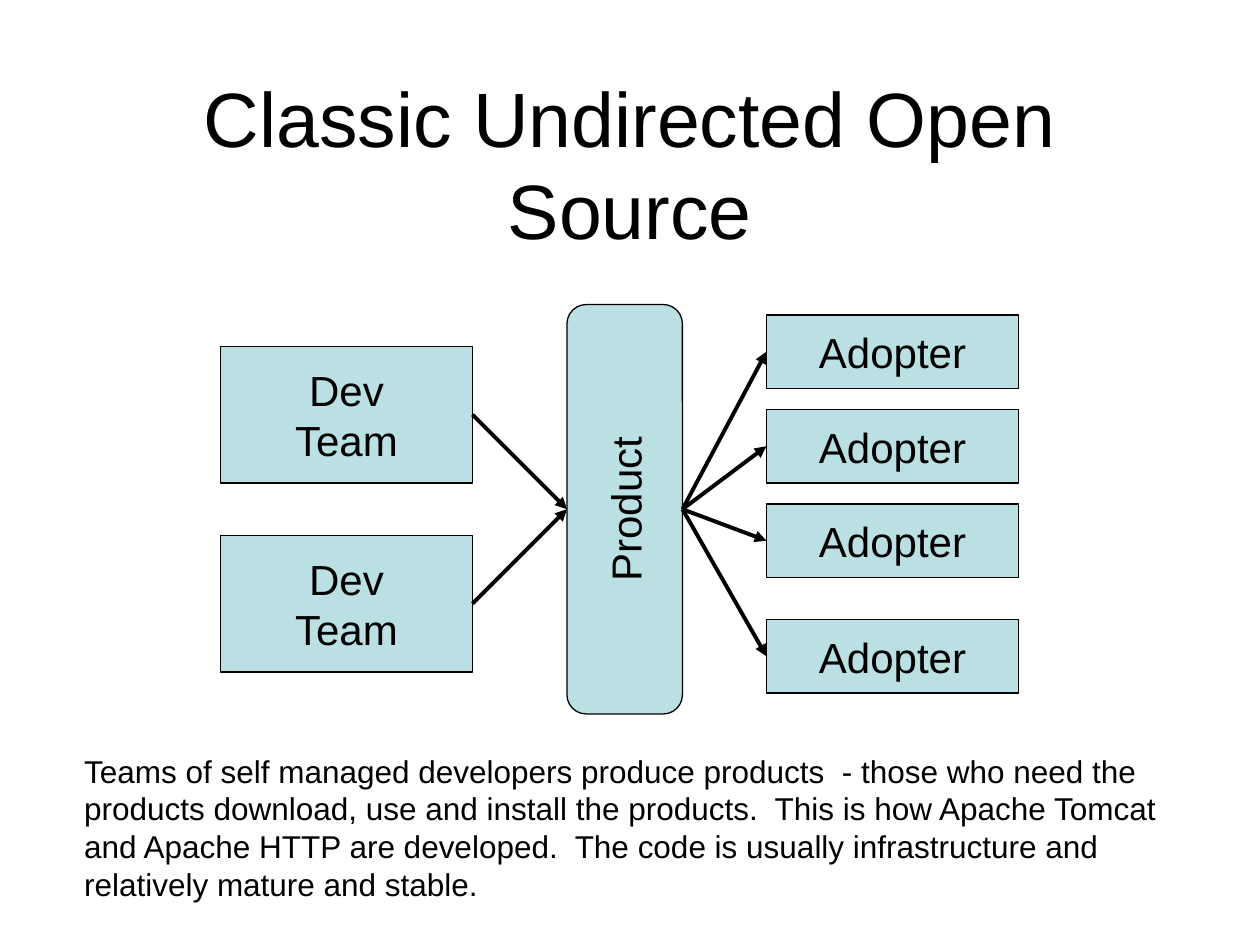
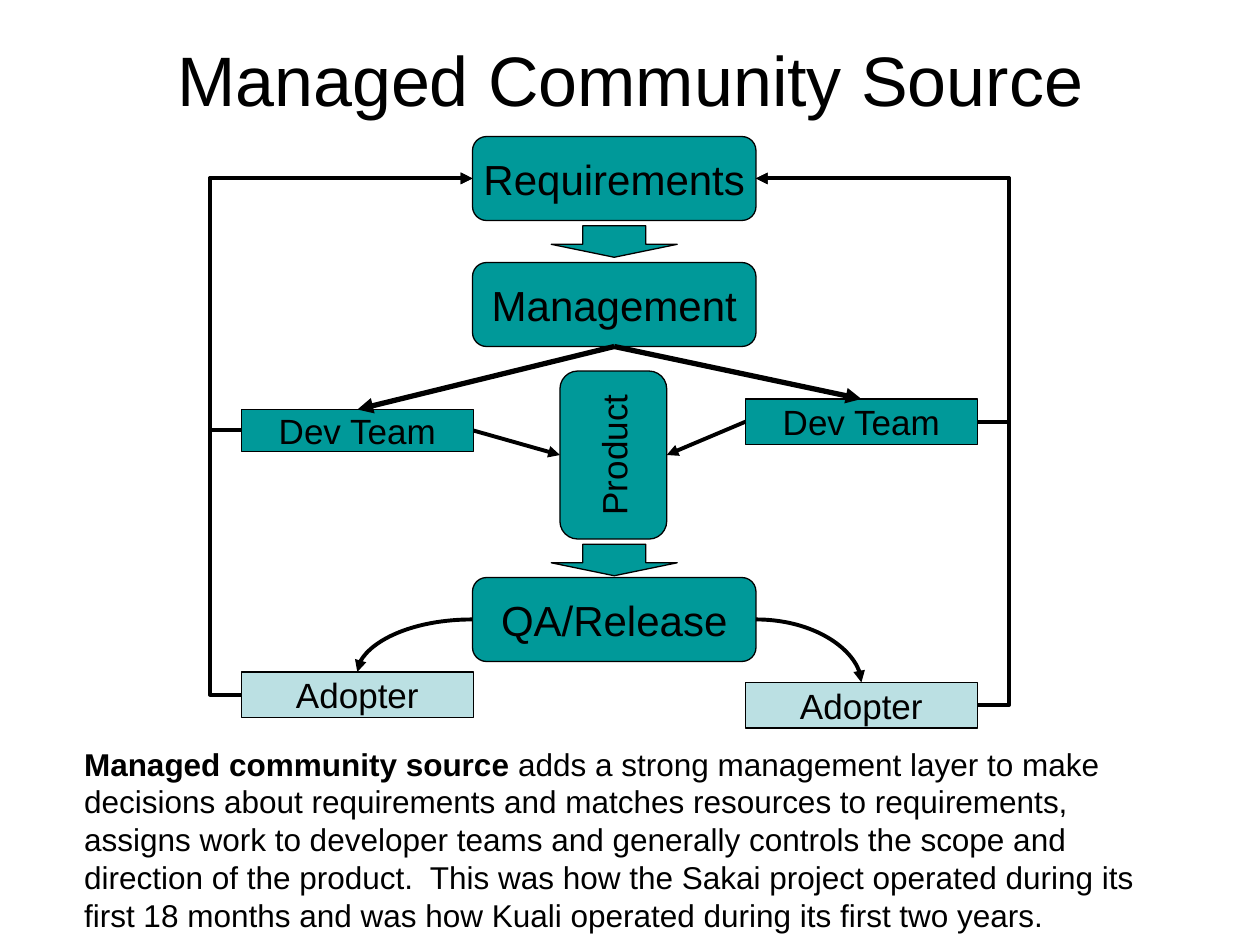
from lxml.etree import SubElement
from pptx import Presentation
from pptx.dml.color import RGBColor
from pptx.enum.shapes import MSO_CONNECTOR, MSO_SHAPE
from pptx.enum.text import MSO_ANCHOR, MSO_AUTO_SIZE, PP_ALIGN
from pptx.oxml.ns import qn
from pptx.util import Pt

COLOURS = {"ink": "000000", "pale": "BBE0E3", "teal": "009999"}
FONT = "Arial"
TOP, LEFT, BOTTOM, RIGHT = range(4)
LOOP_OFFSET = 18


def colour(name):
    return RGBColor.from_string(COLOURS[name])


def side_point(shape, side):
    center_x = shape.left + shape.width // 2
    center_y = shape.top + shape.height // 2
    width, height = shape.width, shape.height
    if shape.rotation:
        width, height = height, width
    step_x, step_y = [(0, -1), (-1, 0), (0, 1), (1, 0)][side]
    return center_x + step_x * width // 2, center_y + step_y * height // 2


def connection_site(shape, side):
    return (side - 1) % 4 if shape.rotation else side


class DiagramBuilder:
    def __init__(self):
        self.presentation = Presentation()
        self.presentation.slide_width = Pt(720)
        self.presentation.slide_height = Pt(540)
        self.slide = None

    def new_slide(self, title, top, size):
        self.slide = self.presentation.slides.add_slide(self.presentation.slide_layouts[6])
        text_box = self.slide.shapes.add_textbox(Pt(54), Pt(top), Pt(612), Pt(90))
        frame = text_box.text_frame
        frame.text = title
        frame.word_wrap = True
        frame.vertical_anchor = MSO_ANCHOR.MIDDLE
        self.style_text(frame, size, PP_ALIGN.CENTER)

    def style_text(self, frame, size, alignment):
        for paragraph in frame.paragraphs:
            paragraph.alignment = alignment
            paragraph.font.name = FONT
            paragraph.font.size = Pt(size)
            paragraph.font.color.rgb = colour("ink")

    def description(self, top, height, text, lead=""):
        text_box = self.slide.shapes.add_textbox(Pt(41), Pt(top), Pt(637), Pt(height))
        frame = text_box.text_frame
        frame.word_wrap = True
        frame.auto_size = MSO_AUTO_SIZE.SHAPE_TO_FIT_TEXT
        paragraph = frame.paragraphs[0]
        if lead:
            lead_run = paragraph.add_run()
            lead_run.text = lead
            lead_run.font.bold = True
        paragraph.add_run().text = text
        self.style_text(frame, 18, PP_ALIGN.LEFT)

    def preset(self, kind, left, top, width, height, fill):
        shape = self.slide.shapes.add_shape(kind, Pt(left), Pt(top), Pt(width), Pt(height))
        shape.shadow.inherit = False
        shape.fill.solid()
        shape.fill.fore_color.rgb = colour(fill)
        shape.line.color.rgb = colour("ink")
        shape.line.width = Pt(0.75)
        return shape

    def box(self, text, left, top, width, height, fill, size=24, kind=MSO_SHAPE.RECTANGLE):
        shape = self.preset(kind, left, top, width, height, fill)
        frame = shape.text_frame
        frame.text = text
        frame.word_wrap = False
        frame.vertical_anchor = MSO_ANCHOR.MIDDLE
        self.style_text(frame, size, PP_ALIGN.CENTER)
        return shape

    def rounded_box(self, text, left, top, width, height, fill, size=24):
        return self.box(text, left, top, width, height, fill, size, MSO_SHAPE.ROUNDED_RECTANGLE)

    def upright_box(self, text, center_x, center_y, length, thickness, fill, size=24):
        shape = self.rounded_box(text, center_x - length / 2, center_y - thickness / 2,
                                 length, thickness, fill, size)
        shape.rotation = 270
        return shape

    def down_arrow(self, left, top):
        arrow = self.preset(MSO_SHAPE.DOWN_ARROW, left, top, 72, 18, "teal")
        arrow.adjustments[1] = 0.41

    def connector(self, kind, start, start_side, end, end_side, width=2.25):
        connector = self.slide.shapes.add_connector(
            kind, *side_point(start, start_side), *side_point(end, end_side))
        connector.line.color.rgb = colour("ink")
        connector.line.width = Pt(width)
        line = connector.line._get_or_add_ln()
        SubElement(line, qn("a:tailEnd"), type="triangle")
        SubElement(connector._element.spPr, qn("a:effectLst"))
        return connector

    def arrow(self, start, start_side, end, end_side, width=2.25):
        connector = self.connector(MSO_CONNECTOR.STRAIGHT, start, start_side,
                                   end, end_side, width)
        connector.begin_connect(start, connection_site(start, start_side))
        connector.end_connect(end, connection_site(end, end_side))
        connector.begin_x, connector.begin_y = side_point(start, start_side)
        connector.end_x, connector.end_y = side_point(end, end_side)

    def loop_arrow(self, start, end, side):
        connector = self.connector(MSO_CONNECTOR.ELBOW, start, side, end, side)
        bend = -round(100000 * Pt(LOOP_OFFSET) / connector.width)
        geometry = connector._element.spPr.find(qn("a:prstGeom"))
        SubElement(geometry.find(qn("a:avLst")), qn("a:gd"), name="adj1", fmla=f"val {bend}")

    def curved_arrow(self, start, start_side, end):
        connector = self.connector(MSO_CONNECTOR.CURVE, start, start_side, end, TOP)
        connector._element.spPr.find(qn("a:prstGeom")).set("prst", "curvedConnector2")


def build_undirected(builder):
    builder.new_slide("Classic Undirected Open Source", 48, 44)
    product = builder.upright_box("Product", 357, 291, 234, 66, "pale")
    for top in (198, 306):
        team = builder.box("Dev\nTeam", 126, top, 144, 78, "pale")
        builder.arrow(team, RIGHT, product, LEFT)
    for top in (180, 234, 288, 354):
        adopter = builder.box("Adopter", 438, top, 144, 42, "pale")
        builder.arrow(product, RIGHT, adopter, LEFT)
    builder.description(426, 94, (
        "Teams of self managed developers produce products  - those who need the "
        "products download, use and install the products.  This is how Apache Tomcat "
        "and Apache HTTP are developed.  The code is usually infrastructure and "
        "relatively mature and stable."))


def build_managed(builder):
    builder.new_slide("Managed Community Source", 0, 40)
    builder.description(422, 115, (
        " adds a strong management layer to make decisions about requirements and "
        "matches resources to requirements, assigns work to developer teams and "
        "generally controls the scope and direction of the product.  This was how the "
        "Sakai project operated during its first 18 months and was how Kuali operated "
        "during its first two years."), lead="Managed community source")
    requirements, management, release = [
        builder.rounded_box(text, 270, top, 162, 48, "teal")
        for text, top in (("Requirements", 78), ("Management", 150), ("QA/Release", 330))]
    product = builder.upright_box("Product", 350.5, 260, 96, 61, "teal", 20)
    for top in (129, 311):
        builder.down_arrow(315, top)

    branches = (
        (LEFT, RIGHT, 138, 234, 24, 384),
        (RIGHT, LEFT, 426, 228, 26, 390),
    )
    for outer, inner, left, team_top, team_height, adopter_top in branches:
        team = builder.box("Dev Team", left, team_top, 132.5, team_height, "teal", 20)
        adopter = builder.box("Adopter", left, adopter_top, 132.5, 26, "pale", 20)
        builder.arrow(team, inner, product, outer)
        builder.arrow(management, BOTTOM, team, TOP, 3)
        builder.loop_arrow(team, requirements, outer)
        builder.loop_arrow(adopter, requirements, outer)
        builder.curved_arrow(release, outer, adopter)


def main():
    builder = DiagramBuilder()
    build_undirected(builder)
    build_managed(builder)
    builder.presentation.save("out.pptx")


if __name__ == "__main__":
    main()
